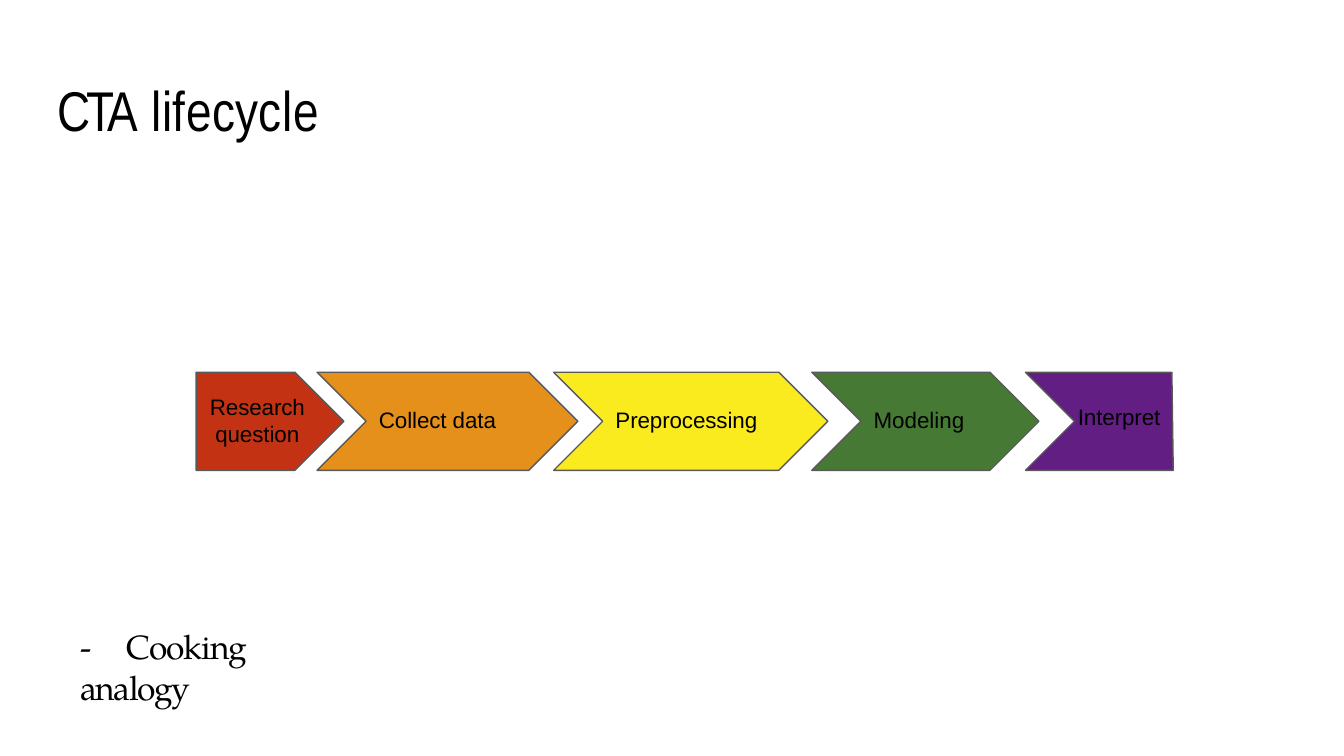
from lxml import etree
from pptx import Presentation
from pptx.dml.color import RGBColor
from pptx.enum.shapes import MSO_SHAPE as Preset
from pptx.enum.text import MSO_ANCHOR as Anchor, MSO_AUTO_SIZE as AutoSize, PP_ALIGN as Align
from pptx.oxml.ns import qn
from pptx.util import Inches, Pt

STEP_HEIGHT = 0.73
POINT_DEPTH = STEP_HEIGHT / 2
STEPS = [
    ("Research question", "C33313", 0, 1.1, (0.08, 0.15, 0.74, 0.43)),
    ("Collect data", "E4901B", 0.9, 1.94, (0.45, 0.24, 0.95, 0.22)),
    ("Preprocessing", "F9EB1E", 2.66, 2.04, (0.45, 0.24, 1.13, 0.22)),
    ("Modeling", "467A34", 4.58, 1.69, (0.45, 0.24, 0.74, 0.22)),
    ("Interpret", "631E84", 6.17, 1.1, (0.38, 0.22, 0.69, 0.22)),
]


def color(hex_value):
    return RGBColor.from_string(hex_value)


def place(shape, left, top, width, height):
    shape.left, shape.top = Inches(left), Inches(top)
    shape.width, shape.height = Inches(width), Inches(height)


def write(frame, runs, font, size, align=Align.LEFT):
    frame.word_wrap = True
    frame.auto_size = AutoSize.NONE
    frame.vertical_anchor = Anchor.TOP
    frame.margin_left = frame.margin_top = Inches(0.01)
    frame.margin_right = frame.margin_bottom = 0
    paragraph = frame.paragraphs[0]
    paragraph.alignment = align
    paragraph.space_before = Pt(1)
    for words, spacing in runs:
        run = paragraph.add_run()
        run.text = words
        run.font.name, run.font.size = font, Pt(size)
        run.font.color.rgb = color("000000")
        run._r.get_or_add_rPr().set("spc", str(round(spacing * 100)))
    return paragraph


def add_heading(slide, left, top, width, height):
    heading = slide.shapes.title
    place(heading, left, top, width, height)
    write(heading.text_frame, [("CTA", -2.2), (" lifecycle", 0.3)], "Arial Narrow", 30)


def add_step_outline(slide, index, left, top, width):
    if index < len(STEPS) - 1:
        preset = Preset.CHEVRON if index else Preset.PENTAGON
        return slide.shapes.add_shape(
            preset, Inches(left), Inches(top), Inches(width), Inches(STEP_HEIGHT))
    bottom, right = top + STEP_HEIGHT, left + width
    corners = [(right - 0.01, top), (right, bottom), (left, bottom),
               (left + POINT_DEPTH, top + STEP_HEIGHT / 2)]
    builder = slide.shapes.build_freeform(Inches(left), Inches(top))
    builder.add_line_segments([(Inches(x), Inches(y)) for x, y in corners], close=True)
    return builder.convert_to_shape()


def add_lifecycle(slide, left, top):
    for index, (name, fill, offset, width, label_box) in enumerate(STEPS):
        step_left = left + offset
        step = add_step_outline(slide, index, step_left, top, width)
        step.shadow.inherit = False
        step.fill.solid()
        step.fill.fore_color.rgb = color(fill)
        step.line.color.rgb = color("595959")
        step.line.width = Pt(0.75)

        dx, dy, label_width, label_height = label_box
        label = slide.shapes.add_textbox(
            Inches(step_left + dx), Inches(top + dy),
            Inches(label_width), Inches(label_height))
        spacing = 0 if name == "Modeling" else -0.05
        align = Align.LEFT if index else Align.CENTER
        paragraph = write(label.text_frame, [(name, spacing)], "Arial", 12, align)
        if index == 0:
            paragraph.line_spacing = Pt(14.3)


def add_analogy(slide, left, top, width, height):
    analogy = slide.shapes.add_textbox(
        Inches(left), Inches(top), Inches(width), Inches(height))
    runs = [("-\t", -0.3), ("Cooking ", -0.5), ("analogy", -0.8)]
    paragraph = write(analogy.text_frame, runs, "TeX Gyre Pagella", 18)
    tabs = etree.SubElement(paragraph._p.get_or_add_pPr(), qn("a:tabLst"))
    etree.SubElement(tabs, qn("a:tab"), pos=str(Inches(0.34)), algn="l")


def main():
    deck = Presentation()
    deck.slide_width = Inches(10)
    deck.slide_height = deck.slide_width * 9 // 16
    slide = deck.slides.add_slide(deck.slide_layouts[5])
    add_heading(slide, 0.42, 0.55, 1.98, 0.53)
    add_lifecycle(slide, 1.46, 2.77)
    add_analogy(slide, 0.59, 4.65, 2, 0.33)
    deck.save("out.pptx")


if __name__ == "__main__":
    main()
